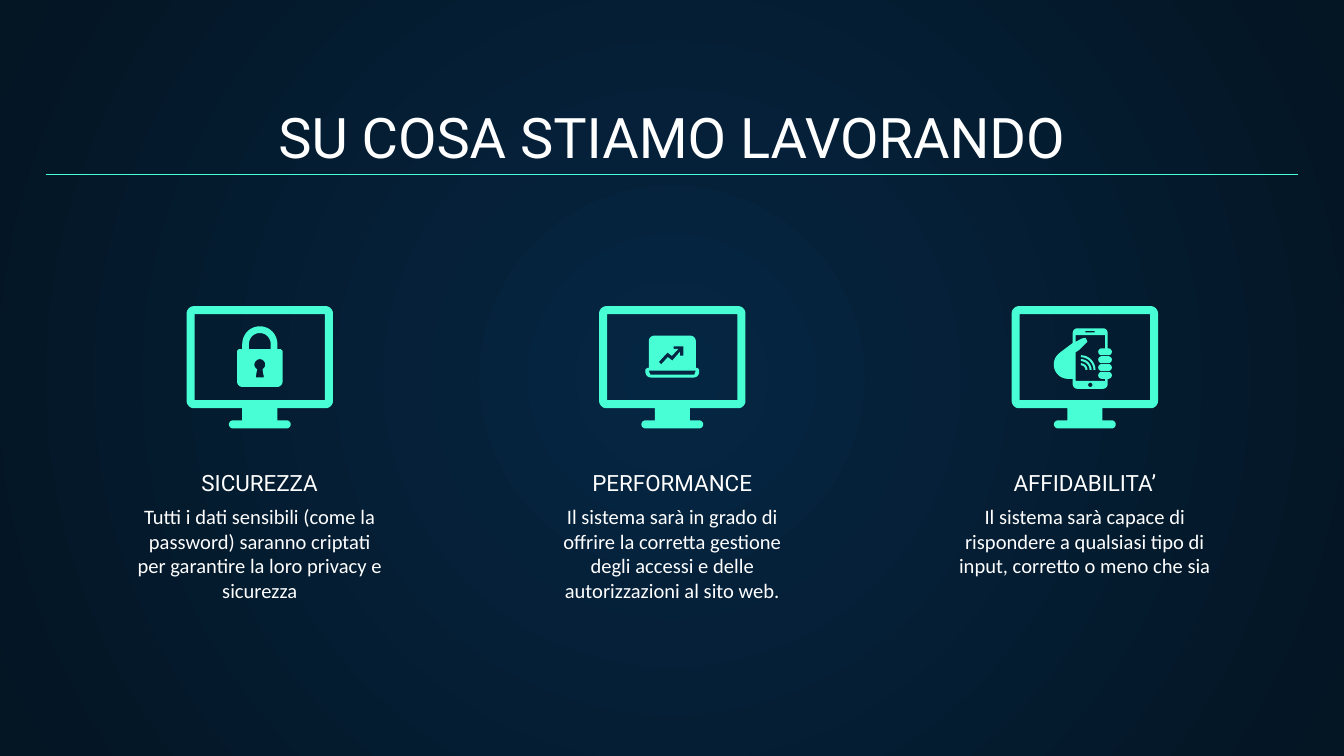
from math import cos, radians, sin

from lxml.etree import SubElement as sub
from pptx import Presentation
from pptx.dml.color import RGBColor
from pptx.enum.shapes import MSO_CONNECTOR as Conn
from pptx.enum.text import MSO_ANCHOR as Anchor, MSO_AUTO_SIZE as Auto, PP_ALIGN as Align
from pptx.oxml.ns import qn
from pptx.util import Pt

MINT = RGBColor(0x48, 0xFF, 0xD5)
WHITE = RGBColor(0xFF, 0xFF, 0xFF)
NAVY = RGBColor(0x05, 0x26, 0x43)
NIGHT = RGBColor(0x04, 0x15, 0x23)


def arc(x, y, r, start, end):
    """Return points along an arc, angles clockwise in degrees."""
    turns = [radians(start + (end - start) * i / 12) for i in range(13)]
    return [(x + r * cos(t), y + r * sin(t)) for t in turns]


def mirror(half):
    """Close a right half outline with its reflection."""
    return half + [(-x, y) for x, y in reversed(half)]


def screen():
    """Return the outlines of a monitor."""
    rim = mirror(
        arc(35.2, 4, 4, -90, 0) + arc(35.2, 50.7, 4, 0, 90)
        + [(9.4, 54.7), (9.4, 61.2)] + arc(14.4, 63.35, 2.15, -90, 90)
    )
    return [rim, mirror([(34.9, 4.3), (34.9, 50.4)])]


def lock():
    """Return the outlines of a padlock."""
    body = (
        arc(0, 20.2, 9.4, -90, 0) + [(9.4, 23), (11.2, 23), (12.2, 24)]
        + arc(9.2, 40.3, 3, 0, 90)
    )
    hoop = arc(0, 20.2, 5.8, -90, 0) + [(5.8, 23)]
    key = arc(0, 31.3, 2.9, -90, 60) + [(2.2, 38.2)]
    return [mirror(half) for half in (body, hoop, key)]


def laptop():
    """Return the outlines of a laptop with a rising arrow."""
    body = (
        arc(9.7, 18.8, 2.9, -90, 0) + [(12.6, 33.1), (13.4, 33.1), (14.4, 34)]
        + arc(11.4, 35.3, 3, 0, 90)
    )
    slot = [(12.6, 34.6), (11.8, 36.7)]
    arrow = [
        (6, 21.6), (6, 26.6), (4.1, 26.6), (4.1, 24.5), (0, 29.2), (-2.4, 27.4), (-6, 31.3),
        (-7.2, 29.9), (-2.6, 24.9), (-0.2, 26.7), (3.2, 23), (0.7, 23), (0.7, 21.6),
    ]
    return [mirror(body), mirror(slot), arrow]


def finger(y):
    """Return the left and right ends of a finger centred on y."""
    return arc(9, y, 1.85, 90, 270), arc(12.6, y, 1.85, -90, 90)


def phone():
    """Return the outlines of a hand holding a phone."""
    (first, tip), (last, end) = finger(24.5), finger(37.1)
    thumb = [(-5, 19.1), (-1.4, 17.3), (0.4, 17), (1.4, 19.1), (-2.9, 23.4), (-5, 24.8)]
    body = (
        arc(-4, 14.4, 2.5, 180, 270) + arc(9.7, 14.4, 2.5, -90, 0) + [(12.2, 22.7)]
        + tip + first + [(10.8, 22.7), (10.8, 15.5), (-5, 15.5)] + thumb
        + [(-5, 40), (10.8, 40), (10.8, 39)] + last + end + [(12.2, 39)]
        + arc(9.7, 41.8, 2.5, 0, 90) + arc(-4, 41.8, 2.5, 90, 180)
        + [(-6.5, 39)] + arc(-9, 31.3, 7.7, 90, 235) + [(-6.5, 19.8)]
    )
    mids = [sum(finger(y), []) for y in (28.7, 32.9)]
    waves = [
        arc(-2.2, 34.2, r, -90, 0) + arc(-2.2, 34.2, r - 1.1, 0, -90) for r in (3.6, 5.8, 7.9)
    ]
    slot = [(0.2, 13.3), (5.2, 13.3), (5.2, 14.1), (0.2, 14.1)]
    return [body, *mids, *waves, slot, arc(2.9, 42.2, 1.2, 0, 360)]


def icon(slide, mid, top, paths):
    """Draw filled outlines around a centre line."""
    dots = [[(Pt(mid + x), Pt(top + y)) for x, y in path] for path in paths]
    pen = slide.shapes.build_freeform(*dots[0][0])
    pen.add_line_segments(dots[0][1:], close=True)
    for path in dots[1:]:
        pen.move_to(*path[0])
        pen.add_line_segments(path[1:], close=True)
    shape = pen.convert_to_shape()
    shape.shadow.inherit = False
    shape.fill.solid()
    shape.fill.fore_color.rgb = MINT
    shape.line.fill.background()


def write(shape, text, size, face, anchor):
    """Fill a text shape with one centred paragraph."""
    frame = shape.text_frame
    frame.word_wrap = True
    frame.auto_size = Auto.NONE
    frame.vertical_anchor = anchor
    frame.margin_left = frame.margin_right = Pt(7.2)
    frame.margin_top = frame.margin_bottom = Pt(7.2)
    para = frame.paragraphs[0]
    para.text = text
    para.alignment = Align.CENTER
    para.font.size, para.font.name = Pt(size), face
    para.font.color.rgb = WHITE


def label(slide, mid, top, width, height, *style):
    """Add a text box centred on mid."""
    box = slide.shapes.add_textbox(Pt(mid - width / 2), Pt(top), Pt(width), Pt(height))
    write(box, *style)


def title(slide, text):
    """Place the title and the rule below it."""
    head = slide.shapes.title
    head.left, head.top, head.width, head.height = Pt(24.5), Pt(50.4), Pt(671), Pt(47.5)
    write(head, text, 30, "Roboto", Anchor.BOTTOM)
    rule = slide.shapes.add_connector(Conn.STRAIGHT, Pt(24.5), Pt(93.6), Pt(695.5), Pt(93.6))
    rule.line.color.rgb = MINT
    rule.line.width = Pt(0.75)
    sub(rule._element.spPr, qn("a:effectLst"))


def glow(slide):
    """Give the slide a radial gradient background."""
    fill = slide.background.fill
    fill.gradient()
    for stop, tint, pos in zip(fill.gradient_stops, (NAVY, NIGHT), (0, 1)):
        stop.color.rgb = tint
        stop.position = pos
    line = slide._element.find(".//" + qn("a:lin"))
    grad = line.getparent()
    grad.remove(line)
    ring = sub(grad, qn("a:path"), path="circle")
    sub(ring, qn("a:fillToRect"), {side: "50000" for side in "ltrb"})


def main():
    """Build the slide."""
    deck = Presentation()
    deck.slide_width, deck.slide_height = Pt(720), Pt(405)
    slide = deck.slides.add_slide(deck.slide_layouts[5])
    glow(slide)
    title(slide, "SU COSA STIAMO LAVORANDO")
    goals = [
        ("SICUREZZA", lock, "Tutti i dati sensibili (come la password) saranno criptati "
         "per garantire la loro privacy e sicurezza"),
        ("PERFORMANCE", laptop, "Il sistema sarà in grado di offrire la corretta gestione "
         "degli accessi e delle autorizzazioni al sito web."),
        ("AFFIDABILITA’", phone, "Il sistema sarà capace di rispondere a qualsiasi tipo di "
         "input, corretto o meno che sia"),
    ]
    for i, (name, sign, text) in enumerate(goals):
        mid = 139.2 + 221 * i
        icon(slide, mid, 164, screen())
        icon(slide, mid, 164, sign())
        label(slide, mid, 257.8, 163.4, 15.1, name, 12, "Roboto", Anchor.BOTTOM)
        label(slide, mid, 262.8, 149, 48, text, 11, "Calibri", Anchor.TOP)
    deck.save("out.pptx")


if __name__ == "__main__":
    main()
